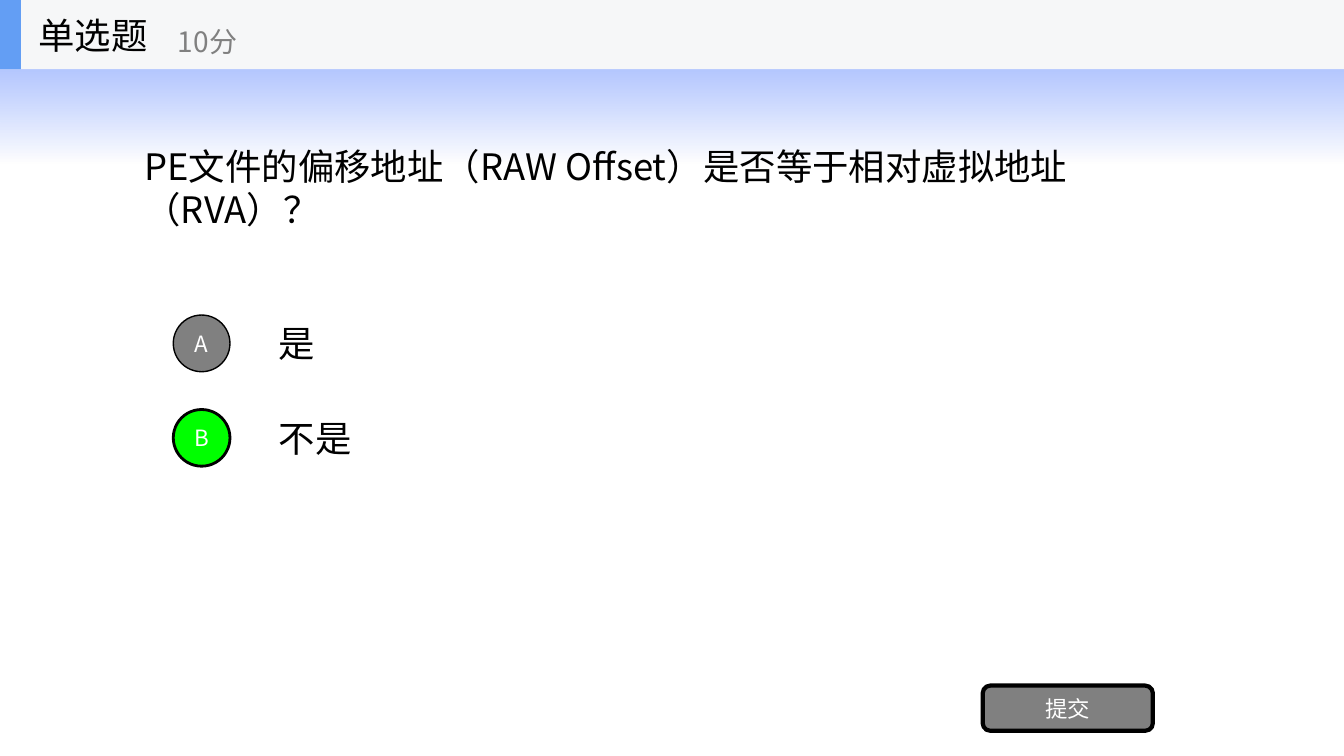
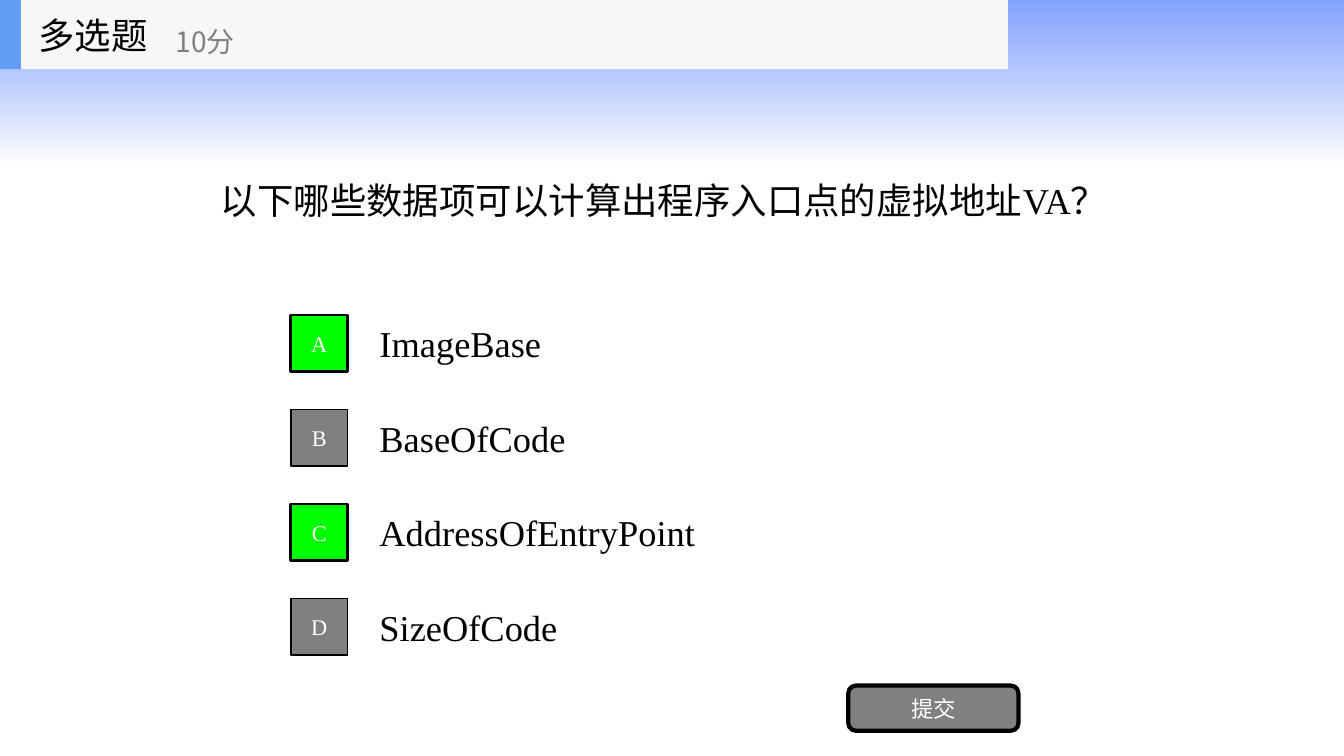
from lxml.etree import SubElement
from pptx import Presentation
from pptx.dml.color import RGBColor
from pptx.enum.shapes import MSO_SHAPE
from pptx.enum.text import MSO_ANCHOR, PP_ALIGN
from pptx.oxml.ns import qn
from pptx.util import Emu, Pt

PX = 9525
SLIDE_W, SLIDE_H = 1280, 720
SANS, SERIF = "Noto Sans CJK SC", "Times New Roman"
COLORS = {
    "black": "000000",
    "white": "FFFFFF",
    "gray": "808080",
    "correct": "00FF00",
    "header": "F6F7F8",
    "accent": "639EF4",
    "glow": "3366FF",
}
HEADER_H = 66
ROW_TOP, ROW_H, ROW_PITCH = 293, 68, 90
BADGE = 54


def px(*values):
    return [Emu(v * PX) for v in values]


def rgb(name):
    return RGBColor.from_string(COLORS[name])


def write(sp, text, size=26, font=SANS, color="black", align=PP_ALIGN.LEFT, wrap=True):
    tf = sp.text_frame
    tf.word_wrap = wrap
    tf.vertical_anchor = MSO_ANCHOR.MIDDLE
    p = tf.paragraphs[0]
    p.alignment = align
    r = p.add_run()
    r.text = text
    r.font.size = Pt(size)
    r.font.name = font
    r.font.color.rgb = rgb(color)
    SubElement(r.font._element, qn("a:ea"), typeface=SANS)


def add_text(shapes, box, text, **fmt):
    write(shapes.add_textbox(*px(*box)), text, **fmt)


def add_box(shapes, kind, box, fill, line=0):
    sp = shapes.add_shape(kind, *px(*box))
    sp.shadow.inherit = False
    sp.fill.solid()
    sp.fill.fore_color.rgb = rgb(fill)
    if line:
        sp.line.color.rgb = rgb("black")
        sp.line.width = Pt(line)
    else:
        sp.line.fill.background()
    return sp


def add_master_glow(prs, slide):
    """Draw the fading top band and move it to the back of the slide master."""
    sp = add_box(slide.shapes, MSO_SHAPE.RECTANGLE, (0, 0, SLIDE_W, 156), "white")
    sp.fill.gradient()
    sp.fill.gradient_angle = 270
    stops = zip(sp.fill.gradient_stops, ("glow", "white"), (60, 70), (0, 1))
    for stop, color, opacity, position in stops:
        stop.position = position
        stop.color.rgb = rgb(color)
    for clr, opacity in zip(sp.element.xpath(".//a:gs/a:srgbClr"), (60, 70)):
        SubElement(clr, qn("a:alpha"), val=str(opacity * 1000))
    sp.element.xpath("p:nvSpPr/p:cNvPr")[0].set("id", "99")
    prs.slide_master.shapes.element.insert(2, sp.element)


def add_header(slide, box, title, points, points_x, font):
    x, y, w, h = box
    shapes = slide.shapes.add_group_shape().shapes
    add_box(shapes, MSO_SHAPE.RECTANGLE, box, "header")
    add_box(shapes, MSO_SHAPE.RECTANGLE, (x, y, 20, h), "accent")
    add_text(shapes, (x + 27, y, 200, h), title, font=font, wrap=False)
    add_text(shapes, (x + points_x, y + 12, 240, h - 12), points,
             size=20, color="gray", wrap=False)


def add_option(slide, box, letter, text, correct, badge, text_x, font):
    x, y, w, h = box
    add_text(slide.shapes, (x + text_x, y, w - text_x, h), text, font=font)
    sp = add_box(slide.shapes, badge, (x, y + (h - BADGE) // 2, BADGE, BADGE),
                 "correct" if correct else "gray", line=2 if correct else 1)
    write(sp, letter, size=16, font=font, color="white", align=PP_ALIGN.CENTER)


def add_submit(slide, box, font):
    sp = add_box(slide.shapes, MSO_SHAPE.ROUNDED_RECTANGLE, box, "gray", line=3)
    write(sp, "提交", size=16, font=font, color="white", align=PP_ALIGN.CENTER)


def add_quiz(slide, title, question, options, answers, font, badge,
             header_w, points_x, question_box, options_x, options_w, text_x, submit_x):
    add_text(slide.shapes, question_box, question, font=font)
    for i, (letter, text) in enumerate(zip("ABCD", options)):
        row = (options_x, ROW_TOP + i * ROW_PITCH, options_w, ROW_H)
        add_option(slide, row, letter, text, letter in answers, badge, text_x, font)
    add_submit(slide, (submit_x, 653, 162, 43), font)
    add_header(slide, (0, 0, header_w, HEADER_H), title, "10分", points_x, font)


QUIZZES = [
    dict(title="单选题",
         question="PE文件的偏移地址（RAW Offset）是否等于相对虚拟地址（RVA）？",
         options=["是", "不是"], answers="B", font=SANS, badge=MSO_SHAPE.OVAL,
         header_w=SLIDE_W, points_x=160, question_box=(128, 66, 1024, 225),
         options_x=165, options_w=987, text_x=91, submit_x=936),
    dict(title="多选题",
         question="以下哪些数据项可以计算出程序入口点的虚拟地址VA？",
         options=["ImageBase", "BaseOfCode", "AddressOfEntryPoint", "SizeOfCode"],
         answers="AC", font=SERIF, badge=MSO_SHAPE.RECTANGLE,
         header_w=960, points_x=158, question_box=(201, 78, 878, 225),
         options_x=277, options_w=747, text_x=75, submit_x=808),
]


def main():
    prs = Presentation()
    prs.slide_width, prs.slide_height = px(SLIDE_W, SLIDE_H)
    slides = [prs.slides.add_slide(prs.slide_layouts[6]) for _ in QUIZZES]
    add_master_glow(prs, slides[0])
    for slide, quiz in zip(slides, QUIZZES):
        add_quiz(slide, **quiz)
    prs.save("out.pptx")


if __name__ == "__main__":
    main()
